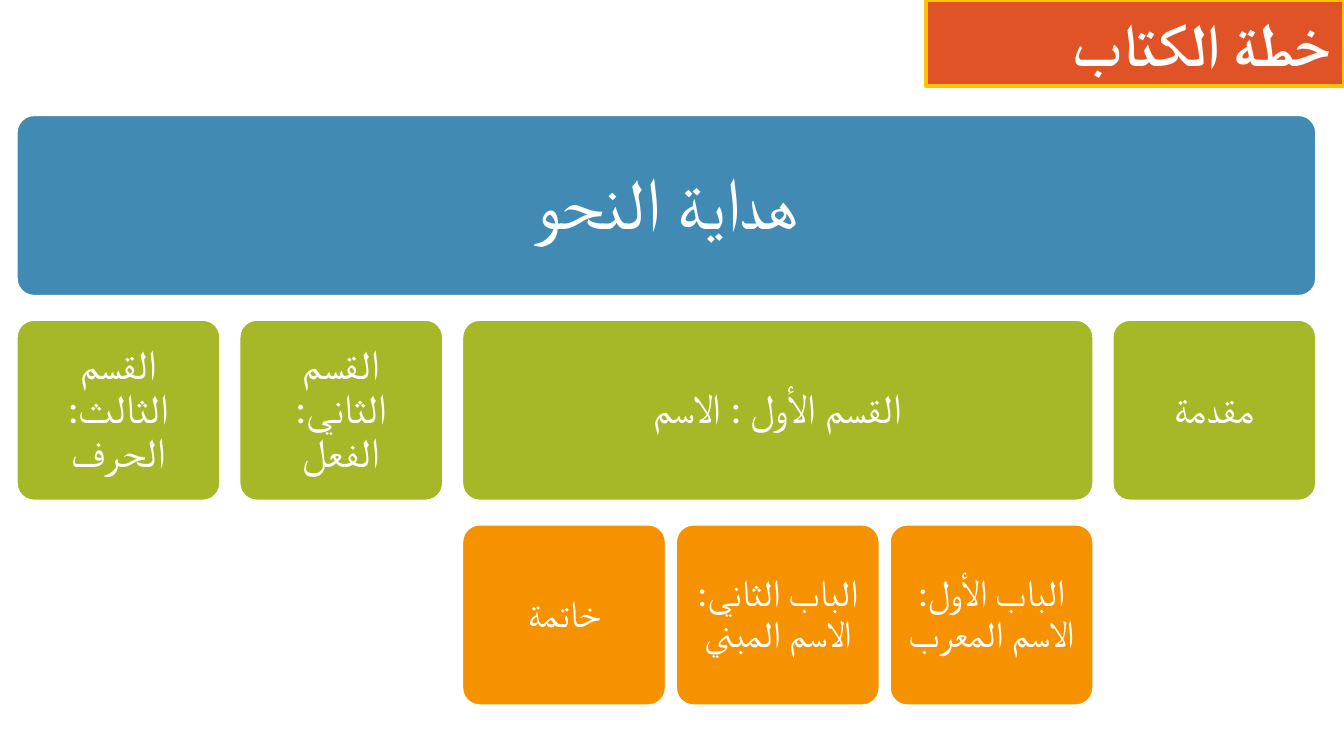
from dataclasses import dataclass

from lxml import etree
from pptx import Presentation
from pptx.dml.color import RGBColor
from pptx.enum.shapes import MSO_SHAPE
from pptx.enum.text import MSO_ANCHOR, MSO_AUTO_SIZE, PP_ALIGN
from pptx.oxml.ns import qn
from pptx.util import Cm, Pt

ROUNDED = MSO_SHAPE.ROUNDED_RECTANGLE
MIDDLE = MSO_ANCHOR.MIDDLE
NO_AUTOFIT = MSO_AUTO_SIZE.NONE
CENTER, RIGHT = PP_ALIGN.CENTER, PP_ALIGN.RIGHT

COLORS = {
    "white": "FFFFFF",
    "banner": "DF5327",
    "banner_line": "FEC306",
    "book": "418AB3",
    "section": "A6B727",
    "chapter": "F69200",
}
FONT = "Calibri"

MARGIN_LEFT, TREE_TOP = 0.3, 2.16
BOX_WIDTH, BOX_HEIGHT, ROW_STEP = 3.88, 3.45, 3.87
LEVELS = [
    {"color": "book", "size": 39, "inset": 0.41, "child_gap": 0.33},
    {"color": "section", "size": 22, "inset": 0.23, "child_gap": 0.16},
    {"color": "chapter", "size": 20, "inset": 0.2, "child_gap": 0},
]

BOOK_PLAN = ("هداية النحو", [
    ("مقدمة", []),
    ("القسم الأول : الاسم", [
        ("الباب الأول:\vالاسم المعرب", []),
        ("الباب الثاني:\vالاسم المبني", []),
        ("خاتمة", []),
    ]),
    ("القسم الثاني: الفعل", []),
    ("القسم الثالث: الحرف", []),
])


def rgb(name):
    return RGBColor.from_string(COLORS[name])


def write_text(shape, text, size, align=CENTER, bold=False, inset=0.25, line_spacing=1.0):
    frame = shape.text_frame
    frame.word_wrap = True
    frame.auto_size = NO_AUTOFIT
    frame.vertical_anchor = MIDDLE
    frame.margin_left = frame.margin_right = Cm(inset)
    frame.margin_top = frame.margin_bottom = Cm(min(inset, 0.41) if align == CENTER else 0.13)
    paragraph = frame.paragraphs[0]
    paragraph.text = text
    paragraph.alignment = align
    paragraph.line_spacing = line_spacing
    paragraph._p.get_or_add_pPr().set("rtl", "1")
    for run in paragraph.runs:
        run.font.size = Pt(size)
        run.font.bold = bold
        run.font.name = FONT
        run.font.color.rgb = rgb("white")
        complex_font = etree.SubElement(run._r.get_or_add_rPr(), qn("a:cs"))
        complex_font.set("typeface", FONT)


def tree_width(node, level=0):
    children = node[1]
    if not children:
        return BOX_WIDTH
    gaps = LEVELS[level]["child_gap"] * (len(children) - 1)
    return gaps + sum(tree_width(child, level + 1) for child in children)


@dataclass
class PlanSlide:
    slide: object
    line_width: float = 2

    def paint(self, shape, fill, line):
        shape.fill.solid()
        shape.fill.fore_color.rgb = rgb(fill)
        shape.line.color.rgb = rgb(line)
        shape.line.width = Pt(self.line_width)

    def add_title(self, text, left, top, width, height):
        title = self.slide.shapes.title
        title.left, title.top, title.width, title.height = map(Cm, (left, top, width, height))
        properties = title.element.spPr
        properties.find(qn("a:xfrm")).set("flipH", "1")
        geometry = etree.SubElement(properties, qn("a:prstGeom"), prst="homePlate")
        adjustments = etree.SubElement(geometry, qn("a:avLst"))
        etree.SubElement(adjustments, qn("a:gd"), name="adj", fmla="val 18700")
        self.paint(title, "banner", "banner_line")
        write_text(title, text, 32, align=RIGHT, bold=True)

    def add_box(self, text, left, top, width, style):
        box = self.slide.shapes.add_shape(ROUNDED, Cm(left), Cm(top), Cm(width), Cm(BOX_HEIGHT))
        box.adjustments[0] = 0.1
        box.shadow.inherit = False
        self.paint(box, style["color"], "white")
        write_text(box, text, style["size"], inset=style["inset"], line_spacing=0.9)

    def add_tree(self, node, left, level=0):
        text, children = node
        style = LEVELS[level]
        self.add_box(text, left, TREE_TOP + level * ROW_STEP, tree_width(node, level), style)
        for child in reversed(children):
            self.add_tree(child, left, level + 1)
            left += tree_width(child, level + 1) + style["child_gap"]


def main():
    presentation = Presentation()
    presentation.slide_width, presentation.slide_height = Cm(25.4), Cm(14.29)
    plan = PlanSlide(presentation.slides.add_slide(presentation.slide_layouts[5]))
    plan.add_title("خطة الكتاب", 17.5, 0, 7.9, 1.63)
    plan.add_tree(BOOK_PLAN, MARGIN_LEFT)
    presentation.save("out.pptx")


if __name__ == "__main__":
    main()
